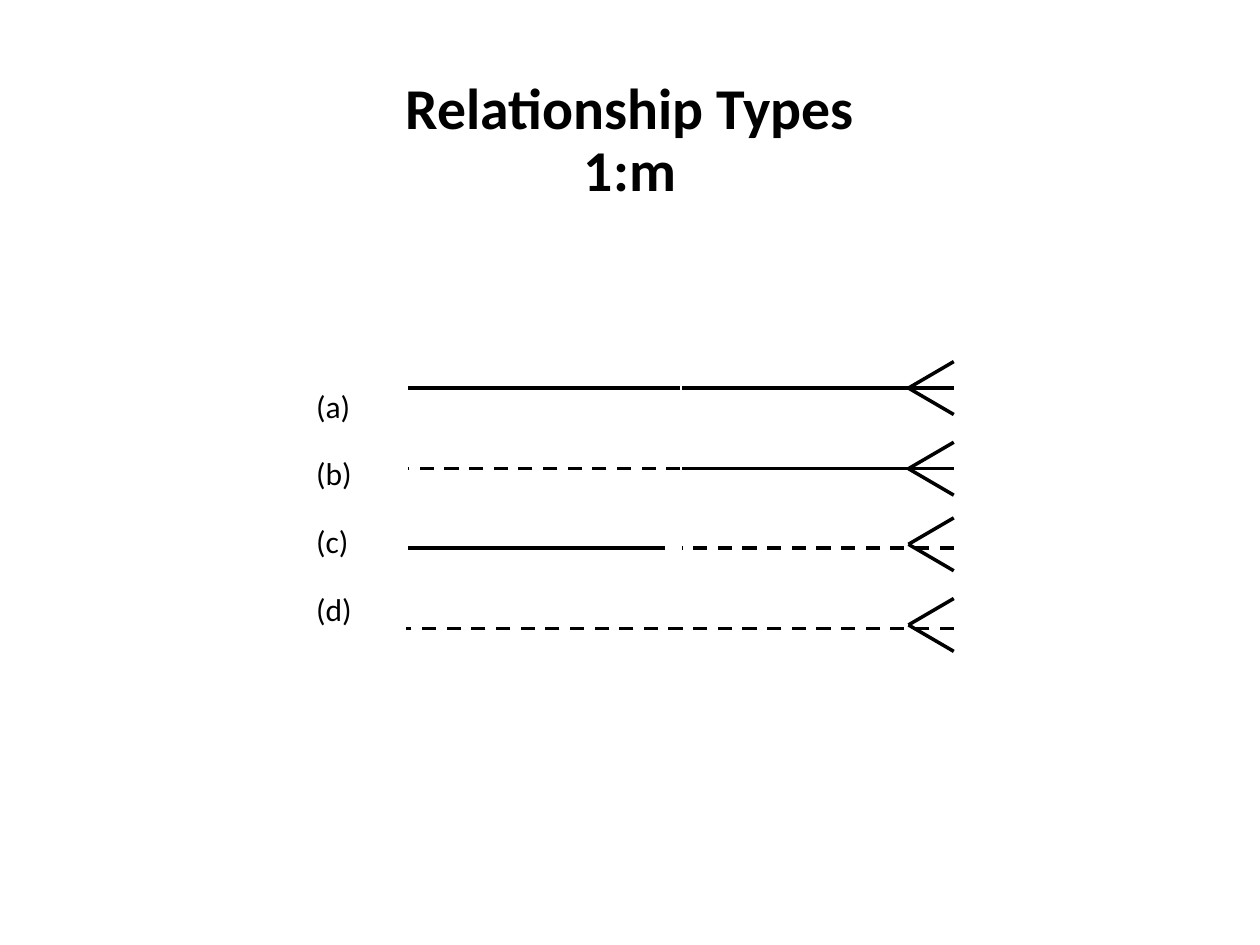
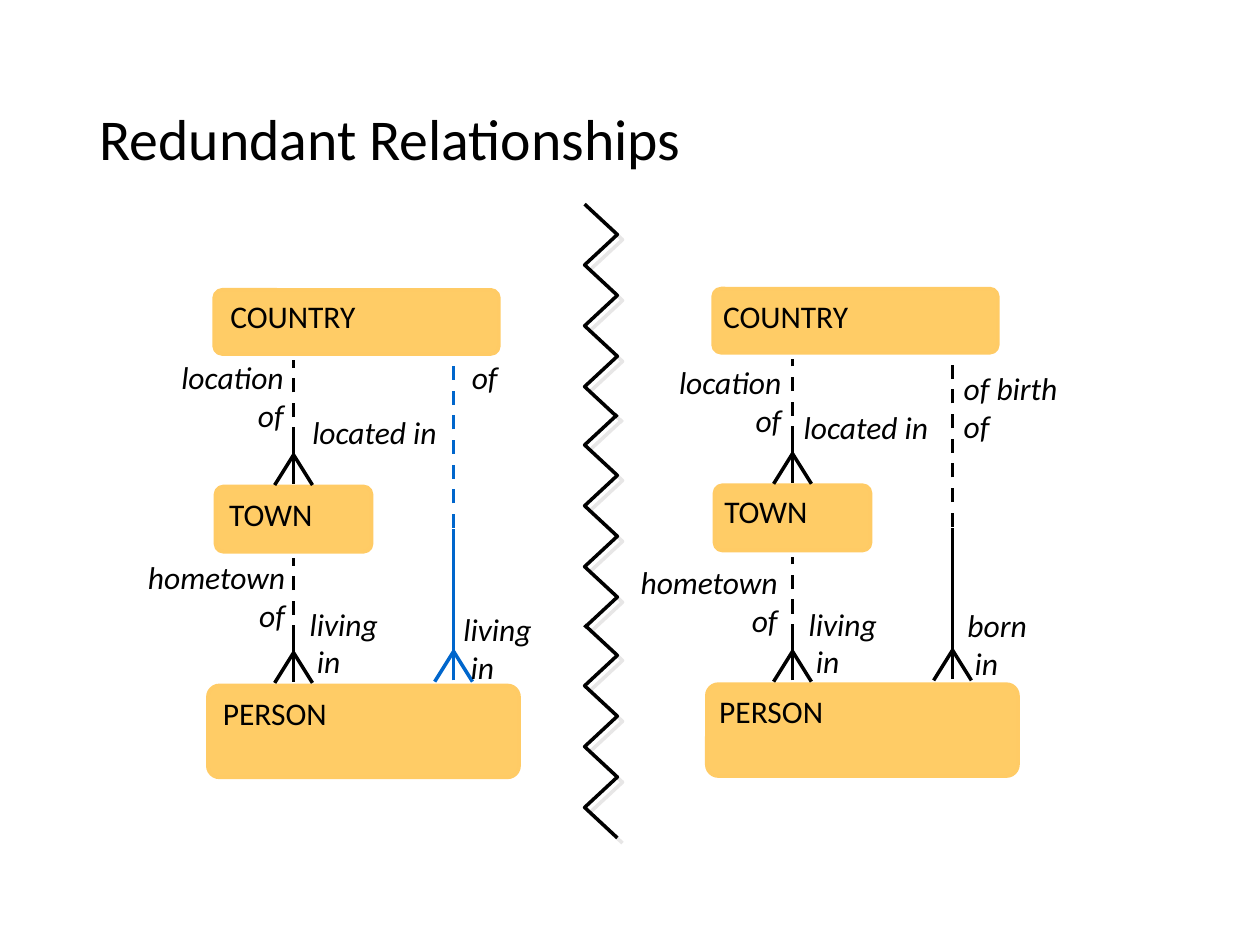
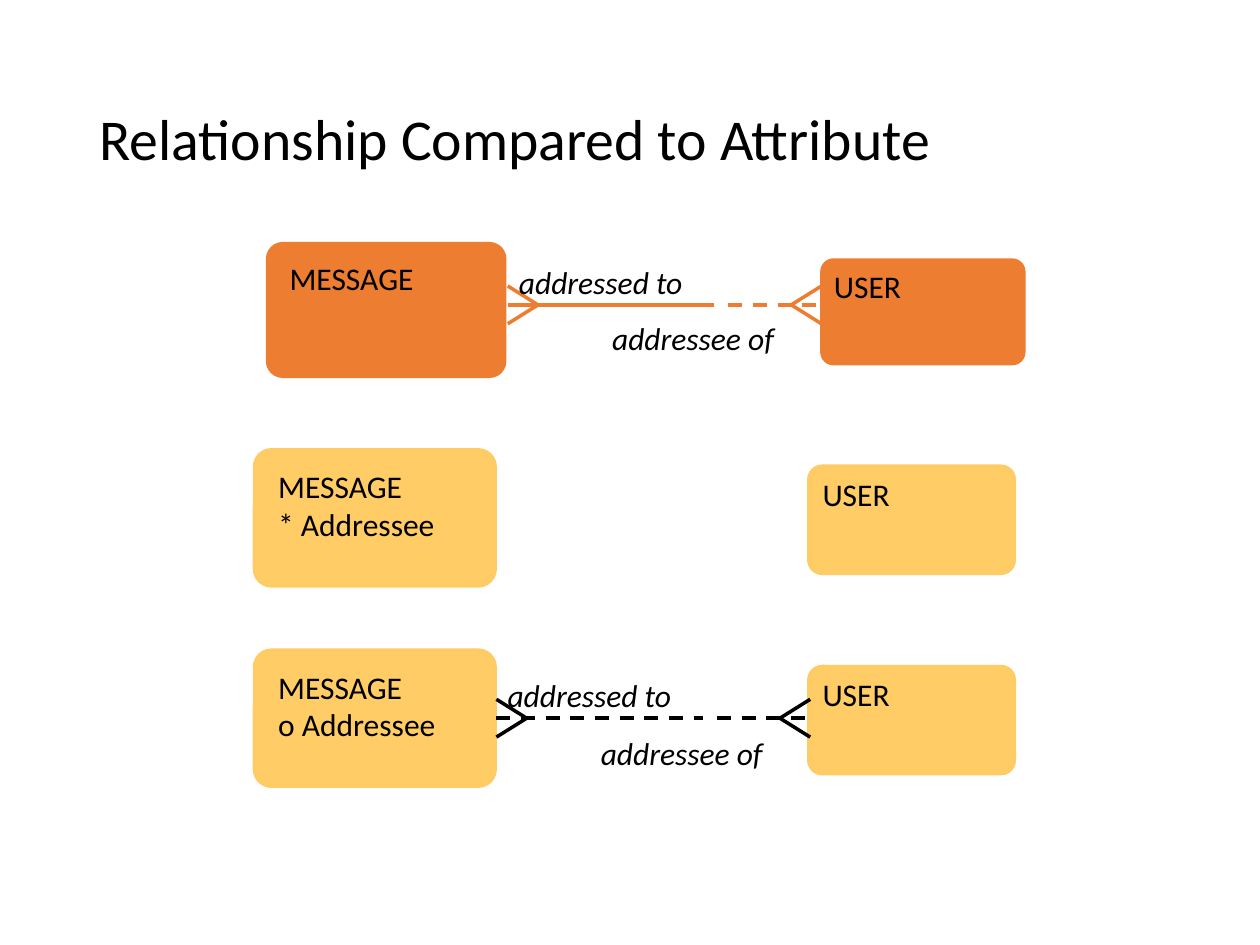
from lxml import etree
from pptx import Presentation
from pptx.dml.color import RGBColor
from pptx.enum.dml import MSO_LINE
from pptx.enum.shapes import MSO_CONNECTOR, MSO_SHAPE
from pptx.enum.text import MSO_ANCHOR, PP_ALIGN
from pptx.oxml.ns import qn
from pptx.util import Inches, Pt

BLACK = RGBColor(0x00, 0x00, 0x00)
YELLOW = RGBColor(0xFF, 0xCC, 0x66)
YELLOW_EDGE = RGBColor(0xFF, 0xCB, 0x65)
ORANGE = RGBColor(0xED, 0x7D, 0x31)
BLUE = RGBColor(0x00, 0x66, 0xCC)
SHADOW_GREY = RGBColor(0xE7, 0xE6, 0xE6)

LEFT, CENTER, RIGHT = PP_ALIGN.LEFT, PP_ALIGN.CENTER, PP_ALIGN.RIGHT
MIDDLE, TOP = MSO_ANCHOR.MIDDLE, MSO_ANCHOR.TOP
STRAIGHT = MSO_CONNECTOR.STRAIGHT
ROUNDED = MSO_SHAPE.ROUNDED_RECTANGLE
DASH = MSO_LINE.DASH

FONT = "Calibri"
STROKE = Pt(2)


class Deck:
    def __init__(self):
        self.presentation = Presentation()
        self.presentation.slide_width = Inches(10)
        self.presentation.slide_height = Inches(7.5)
        self.slide = None

    def new_slide(self, title, align=LEFT, bold=False):
        self.slide = self.presentation.slides.add_slide(self.presentation.slide_layouts[6])
        self.text([title], 0.69, 0.4, 8.62, 1.45, size=33, align=align,
                  bold=bold, spacing=0.9, anchor=MIDDLE)

    def text(self, paragraphs, left, top, width, height, size=18, align=LEFT,
             bold=False, italic=False, spacing=1.0, anchor=TOP):
        box = self.slide.shapes.add_textbox(
            Inches(left), Inches(top), Inches(width), Inches(height))
        frame = box.text_frame
        frame.word_wrap = True
        frame.vertical_anchor = anchor
        for index, content in enumerate(paragraphs):
            paragraph = frame.add_paragraph() if index else frame.paragraphs[0]
            paragraph.alignment = align
            paragraph.line_spacing = spacing
            if index:
                paragraph.space_before = Pt(8.5)
            for number, line in enumerate(content.split("\n")):
                if number:
                    paragraph.add_line_break()
                run = paragraph.add_run()
                run.text = line
                run.font.name = FONT
                run.font.size = Pt(size)
                run.font.bold = bold
                run.font.italic = italic
                run.font.color.rgb = BLACK

    def name(self, content, left, top, width):
        self.text([content], left, top, width, 0.4 + 0.3 * content.count("\n"))

    def role(self, content, left, top, width, align=LEFT, height=0.7):
        self.text([content], left, top, width, height, align=align, italic=True)

    def entity(self, left, top, width, height, fill=YELLOW, edge=YELLOW_EDGE):
        shape = self.slide.shapes.add_shape(
            ROUNDED, Inches(left), Inches(top), Inches(width), Inches(height))
        shape.adjustments[0] = 0.125
        shape.shadow.inherit = False
        shape.fill.solid()
        shape.fill.fore_color.rgb = fill
        if edge is None:
            shape.line.fill.background()
        else:
            shape.line.color.rgb = edge
            shape.line.width = STROKE

    def line(self, start, end, color=BLACK, dashed=False):
        points = [Inches(value) for value in (*start, *end)]
        connector = self.slide.shapes.add_connector(STRAIGHT, *points)
        connector.line.color.rgb = color
        connector.line.width = STROKE
        if dashed:
            connector.line.dash_style = DASH
        etree.SubElement(connector._element.spPr, qn("a:effectLst"))

    def crow_foot(self, x, y, depth, spread, color=BLACK, vertical=False):
        for side in (-spread, spread):
            end = (x + side, y + depth) if vertical else (x + depth, y + side)
            self.line(end, (x, y), color)

    def vertical_link(self, x, bottom, solid, gap, dashed, color=BLACK):
        middle = bottom - solid
        self.line((x, bottom), (x, middle), color)
        self.line((x, middle - gap), (x, middle - gap - dashed), color, True)
        self.crow_foot(x, bottom - 0.23, 0.24, 0.15, color, vertical=True)

    def zigzag(self, points):
        (x, y), *rest = [(Inches(x), Inches(y)) for x, y in points]
        builder = self.slide.shapes.build_freeform(x, y)
        builder.add_line_segments(rest, close=False)
        shape = builder.convert_to_shape()
        shape.fill.background()
        shape.line.color.rgb = BLACK
        shape.line.width = STROKE
        effects = etree.SubElement(shape._element.spPr, qn("a:effectLst"))
        shadow = etree.SubElement(effects, qn("a:outerShdw"), dist=str(Pt(4.2)),
                                  dir="2700000", algn="ctr", rotWithShape="0")
        etree.SubElement(shadow, qn("a:srgbClr"), val=str(SHADOW_GREY))


def relationship_types(deck):
    deck.new_slide("Relationship Types\n1:m", CENTER, bold=True)
    halves = [
        (3.08, 3.08, 5.4, False, False),
        (3.72, 3.72, 5.4, True, False),
        (4.35, 4.32, 5.28, False, True),
    ]
    for y, foot_y, left_end, left_dashed, right_dashed in halves:
        deck.line((7.57, y), (5.41, y), dashed=right_dashed)
        deck.line((left_end, y), (3.24, y), dashed=left_dashed)
        deck.crow_foot(7.21, foot_y, 0.36, 0.21)
    deck.line((7.57, 4.99), (3.22, 4.99), dashed=True)
    deck.crow_foot(7.21, 4.96, 0.36, 0.21)
    deck.text(["(a)", "(b)", "(c)", "(d)"], 2.41, 2.9, 1.15, 2.23, spacing=1.4)


def redundant_relationships(deck):
    deck.new_slide("Redundant Relationships")
    for shift, rise, long_color in ((0, 0, BLUE), (3.96, 0.01, BLACK)):
        for left, top, width, height in ((1.7, 2.3, 2.26, 0.51),
                                         (1.71, 3.86, 1.24, 0.52),
                                         (1.65, 5.44, 2.47, 0.73)):
            deck.entity(left + shift, top - rise, width, height)
        for bottom in (3.84, 5.41):
            deck.vertical_link(2.33 + shift, bottom - rise, 0.45, 0.08, 0.45)
        deck.vertical_link(3.6 + shift, 5.4 - rise, 1.2, 0.01, 1.32, long_color)

    names = [
        ("COUNTRY", 1.73, 2.31, 2.23), ("COUNTRY", 5.64, 2.31, 2.23),
        ("TOWN", 1.72, 3.88, 1.63), ("TOWN", 5.65, 3.86, 1.63),
        ("PERSON", 1.67, 5.46, 1.64), ("PERSON", 5.61, 5.44, 1.64),
    ]
    for name in names:
        deck.name(*name)

    roles = [
        ("location of", 1.11, 2.79, 1.24, RIGHT),
        ("located in", 2.38, 3.23, 1.19),
        ("hometown of", 0.88, 4.38, 1.48, RIGHT),
        ("living\n in", 2.36, 4.75, 1.19),
        (" of", 3.59, 2.79, 1.07),
        ("living\n in", 3.58, 4.79, 1.19),
        ("location of", 5.1, 2.83, 1.2, RIGHT),
        ("located in", 6.28, 3.19, 1.19),
        ("hometown of", 4.8, 4.42, 1.47, RIGHT),
        ("living\n in", 6.32, 4.75, 1.19),
        ("of birth of", 7.55, 2.88, 1.07),
        ("born\n in", 7.58, 4.76, 1.19),
    ]
    for role in roles:
        deck.role(*role)

    sides = (4.64, 4.9)
    for part in range(3):
        top = 1.62 + 1.67 * part
        deck.zigzag([(sides[(part + step) % 2], top + 1.69 * step / 7)
                     for step in range(8)])


def relationship_and_attribute(deck):
    deck.new_slide("Relationship Compared to Attribute")
    rows = [
        (2.11, 1.92, "MESSAGE", ORANGE, None),
        (2.02, 3.57, "MESSAGE\n* Addressee", YELLOW, YELLOW_EDGE),
        (2.02, 5.16, "MESSAGE\no Addressee", YELLOW, YELLOW_EDGE),
    ]
    for left, top, message, fill, edge in rows:
        deck.entity(left, top, 1.91, 1.08, fill, edge)
        deck.name(message, left + 0.09, top + 0.09, 2.66)
        deck.entity(left + 4.4, top + 0.13, 1.63, 0.85, fill, edge)
        deck.name("USER", left + 4.41, top + 0.15, 1.63)

    links = [(2.11, 2.42, ORANGE, False, 0.06), (2.02, 5.7, BLACK, True, 0.08)]
    for left, y, color, dashed, drop in links:
        deck.line((left + 1.92, y), (left + 3.56, y), color, dashed)
        deck.line((left + 3.67, y), (left + 4.39, y), color, True)
        deck.crow_foot(left + 2.16, y, -0.24, 0.15, color)
        deck.crow_foot(left + 4.17, y, 0.24, 0.15, color)
        deck.role("addressed to", left + 1.91, y - 0.38, 1.85, height=0.4)
        deck.role("addressee of", left + 2.65, y + drop, 1.85, height=0.4)


def main():
    deck = Deck()
    relationship_types(deck)
    redundant_relationships(deck)
    relationship_and_attribute(deck)
    deck.presentation.save("out.pptx")


if __name__ == "__main__":
    main()
